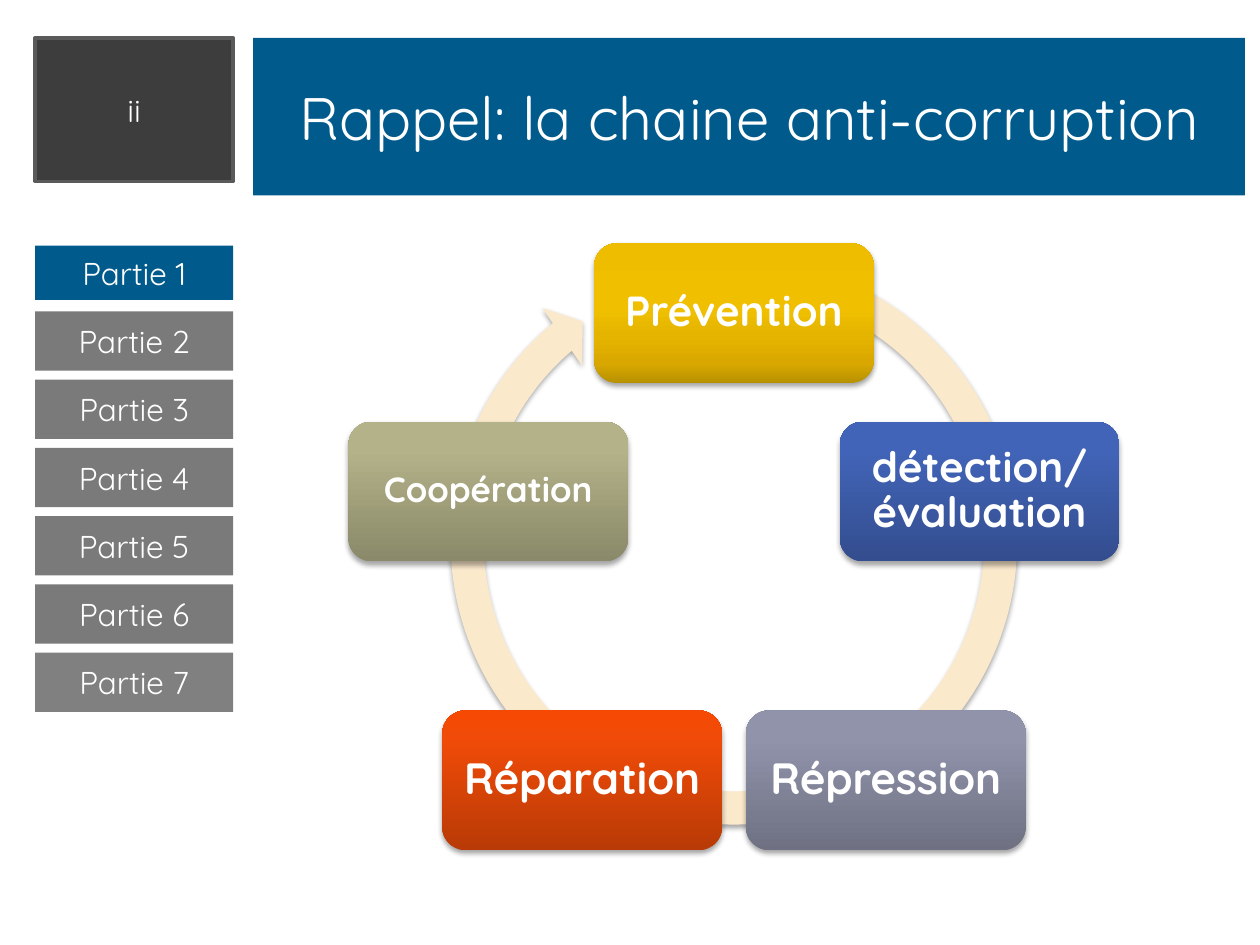
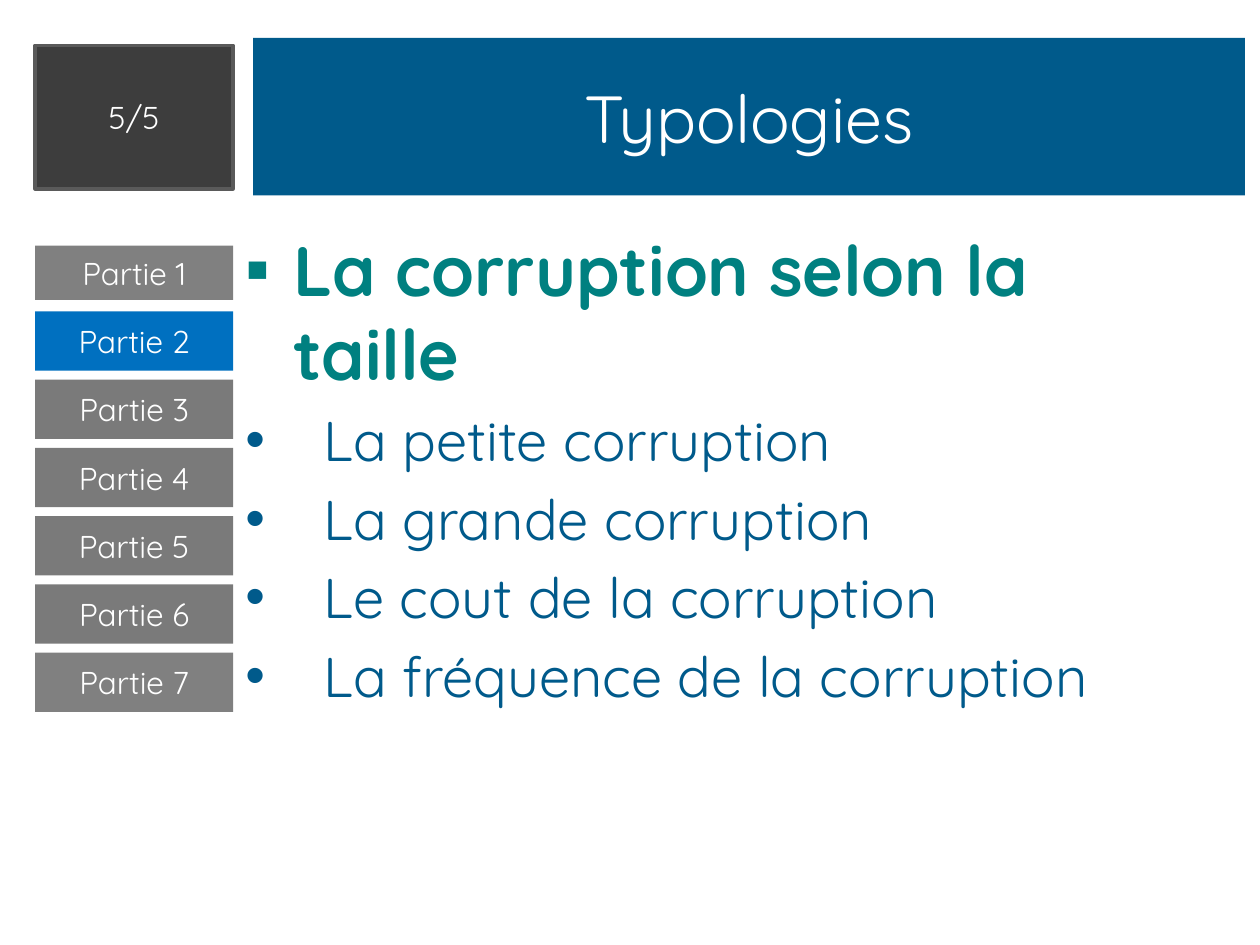
import math
from dataclasses import dataclass

import lxml.etree
import pptx
import pptx.dml.color
import pptx.enum.shapes
import pptx.enum.text
import pptx.oxml.ns
import pptx.util

SHAPES = pptx.enum.shapes.MSO_SHAPE
ALIGN = pptx.enum.text.PP_ALIGN
ANCHOR = pptx.enum.text.MSO_ANCHOR
COLUMNS, ROWS = 100, 75


@dataclass(frozen=True)
class Theme:
    font: str = "Quicksand"
    white: str = "FFFFFF"
    blue: str = "005A8B"
    bright_blue: str = "0070C0"
    teal: str = "008080"
    gray: str = "7A7A7A"
    light_gray: str = "808080"
    badge: str = "3D3D3D"
    badge_line: str = "5A5A5A"
    ring: str = "FBE9CC"
    label_size: float = 18
    heading_size: float = 40
    item_size: float = 32


THEME = Theme()


@dataclass(frozen=True)
class Box:
    left: float
    top: float
    width: float
    height: float

    def lengths(self):
        return [cells(value) for value in (self.left, self.top, self.width, self.height)]

    def inside(self, left, top, width, height):
        return Box(self.left + left, self.top + top, width, height)


TITLE_BOX = Box(20.1, 3, 78.7, 12.5)
BADGE_BOX = Box(2.8, 3, 15.7, 11.4)
MENU_BOX = Box(2.8, 19.3, 15.7, 37.2)
CYCLE_BOX = Box(27.7, 19, 61.1, 48.4)
BODY_BOX = Box(18.5, 17.5, 78.7, 49.1)

PARTS = [f"Partie {number}" for number in range(1, 8)]
CYCLE_STEPS = [
    ("Prévention", 24, {0: "B89100", 14: "D9A800", 34: "E5B400",
                        54: "F0C000", 80: "EEBD00", 100: "EFBD00"}),
    ("détection/évaluation", 24, {0: "334D8E", 80: "4264B8", 100: "4063BB"}),
    ("Répression", 25, {0: "6F7183", 80: "9093AA", 100: "9193AB"}),
    ("Réparation", 25, {0: "B93A06", 80: "F04B08", 100: "F64904"}),
    ("Coopération", 20, {0: "8A8969", 80: "B3B289", 100: "B5B488"}),
]
CORRUPTION_SIZES = [
    "La petite corruption",
    "La grande corruption",
    "Le cout de la corruption",
    "La fréquence de la corruption",
]


def cells(count):
    return pptx.util.Inches(count / 10)


def rgb(value):
    return pptx.dml.color.RGBColor.from_string(value)


def apply(target, formats):
    for name, value in formats.items():
        setattr(target, name, value)


def add_element(parent, tag, **attributes):
    element = lxml.etree.SubElement(parent, pptx.oxml.ns.qn(tag))
    for name, value in attributes.items():
        element.set(name, str(value))
    return element


def add_color(parent, value):
    return add_element(parent, "a:srgbClr", val=value)


def set_font(paragraph, size, color, bold=False):
    apply(paragraph.font, {"name": THEME.font, "size": pptx.util.Pt(size), "bold": bold})
    paragraph.font.color.rgb = rgb(color)


def add_panel(slide, box, fill=None, kind=SHAPES.RECTANGLE):
    shape = slide.shapes.add_shape(kind, *box.lengths())
    shape.shadow.inherit = False
    shape.line.fill.background()
    if fill:
        shape.fill.solid()
        shape.fill.fore_color.rgb = rgb(fill)
    return shape


def write_label(shape, text, size, bold=False, **formats):
    apply(shape.text_frame, {"word_wrap": True, "vertical_anchor": ANCHOR.MIDDLE})
    paragraph = shape.text_frame.paragraphs[0]
    paragraph.text = text
    apply(paragraph, {"alignment": ALIGN.CENTER, **formats})
    set_font(paragraph, size, THEME.white, bold)


def add_shadow(shape):
    effects = shape._element.spPr.find(pptx.oxml.ns.qn("a:effectLst"))
    shadow = add_element(effects, "a:outerShdw", blurRad=pptx.util.Pt(3.1),
                         dist=pptx.util.Pt(1.8), dir=90 * 60000, rotWithShape=0)
    add_element(add_color(shadow, "000000"), "a:alpha", val=35000)


def fill_gradient(shape, stops):
    shape.fill.gradient()
    shape.fill.gradient_angle = 90
    stop_list = shape._element.spPr.find(".//" + pptx.oxml.ns.qn("a:gsLst"))
    for stop in list(stop_list):
        stop_list.remove(stop)
    for position, color in stops.items():
        add_color(add_element(stop_list, "a:gs", pos=position * 1000), color)


def draw_title(slide, box, text, size):
    write_label(add_panel(slide, box, THEME.blue), text, size)


def draw_badge(slide, box, text):
    badge = add_panel(slide, box, THEME.badge)
    badge.line.color.rgb = rgb(THEME.badge_line)
    badge.line.width = pptx.util.Pt(2)
    write_label(badge, text, THEME.label_size)


def draw_menu(slide, box, active, active_color):
    height = 4.7
    pitch = (box.height - height) / (len(PARTS) - 1)
    for index, part in enumerate(PARTS):
        margin = 0.2 if index == 0 else 0
        button = box.inside(0, index * pitch + margin, box.width, height - 2 * margin)
        color = THEME.light_gray if index in (0, len(PARTS) - 1) else THEME.gray
        if index == active:
            color = active_color
        write_label(add_panel(slide, button, color), part, THEME.label_size)


def draw_cycle(slide, box):
    ring_size, radius = 47.9, 20.5
    width, height = 22.2, 11.1
    middle = box.width / 2
    ring_box = box.inside(middle - ring_size / 2, 0, ring_size, ring_size)
    ring = add_panel(slide, ring_box, THEME.ring, SHAPES.CIRCULAR_ARROW)
    for index, value in enumerate((0.055, 3.307, 137.976, 173.728, 0.058)):
        ring.adjustments[index] = value
    add_shadow(ring)
    center = 0.3 + height / 2 + radius
    for index, (text, size, stops) in enumerate(CYCLE_STEPS):
        angle = math.tau * index / len(CYCLE_STEPS)
        left = middle + radius * math.sin(angle) - width / 2
        top = center - radius * math.cos(angle) - height / 2
        step = add_panel(slide, box.inside(left, top, width, height),
                         kind=SHAPES.ROUNDED_RECTANGLE)
        fill_gradient(step, stops)
        add_shadow(step)
        sides = ("left", "top", "right", "bottom")
        apply(step.text_frame, {f"margin_{side}": cells(1) for side in sides})
        write_label(step, text, size, bold=True, line_spacing=0.9)


def add_bullet(paragraph, text, mark, indent, size, color, bold=False):
    paragraph.text = text
    properties = paragraph._p.get_or_add_pPr()
    properties.set("marL", str(cells(indent)))
    properties.set("indent", str(-cells(indent)))
    add_element(properties, "a:buFont", typeface="Arial")
    add_element(properties, "a:buChar", char=mark)
    set_font(paragraph, size, color, bold)


def draw_body(slide, box, heading, items):
    frame = slide.shapes.add_textbox(*box.lengths()).text_frame
    frame.word_wrap = True
    add_bullet(frame.paragraphs[0], heading, "▪", 3.8, THEME.heading_size, THEME.teal, True)
    for item in items:
        paragraph = frame.add_paragraph()
        add_bullet(paragraph, item, "•", 6.2, THEME.item_size, THEME.blue)
        paragraph.space_before = pptx.util.Pt(THEME.item_size * 0.2)


def add_slide(presentation):
    return presentation.slides.add_slide(presentation.slide_layouts[6])


def build_chain_slide(presentation):
    slide = add_slide(presentation)
    draw_title(slide, TITLE_BOX, "Rappel: la chaine anti-corruption", 34.2)
    draw_badge(slide, BADGE_BOX, "ii")
    draw_menu(slide, MENU_BOX, 0, THEME.blue)
    draw_cycle(slide, CYCLE_BOX)


def build_typology_slide(presentation):
    slide = add_slide(presentation)
    draw_title(slide, TITLE_BOX, "Typologies", 38)
    draw_body(slide, BODY_BOX, "La corruption selon la taille", CORRUPTION_SIZES)
    draw_badge(slide, BADGE_BOX.inside(0, 0.6, BADGE_BOX.width, BADGE_BOX.height), "5/5")
    draw_menu(slide, MENU_BOX, 1, THEME.bright_blue)


def main():
    presentation = pptx.Presentation()
    apply(presentation, {"slide_width": cells(COLUMNS), "slide_height": cells(ROWS)})
    build_chain_slide(presentation)
    build_typology_slide(presentation)
    presentation.save("out.pptx")


if __name__ == "__main__":
    main()
